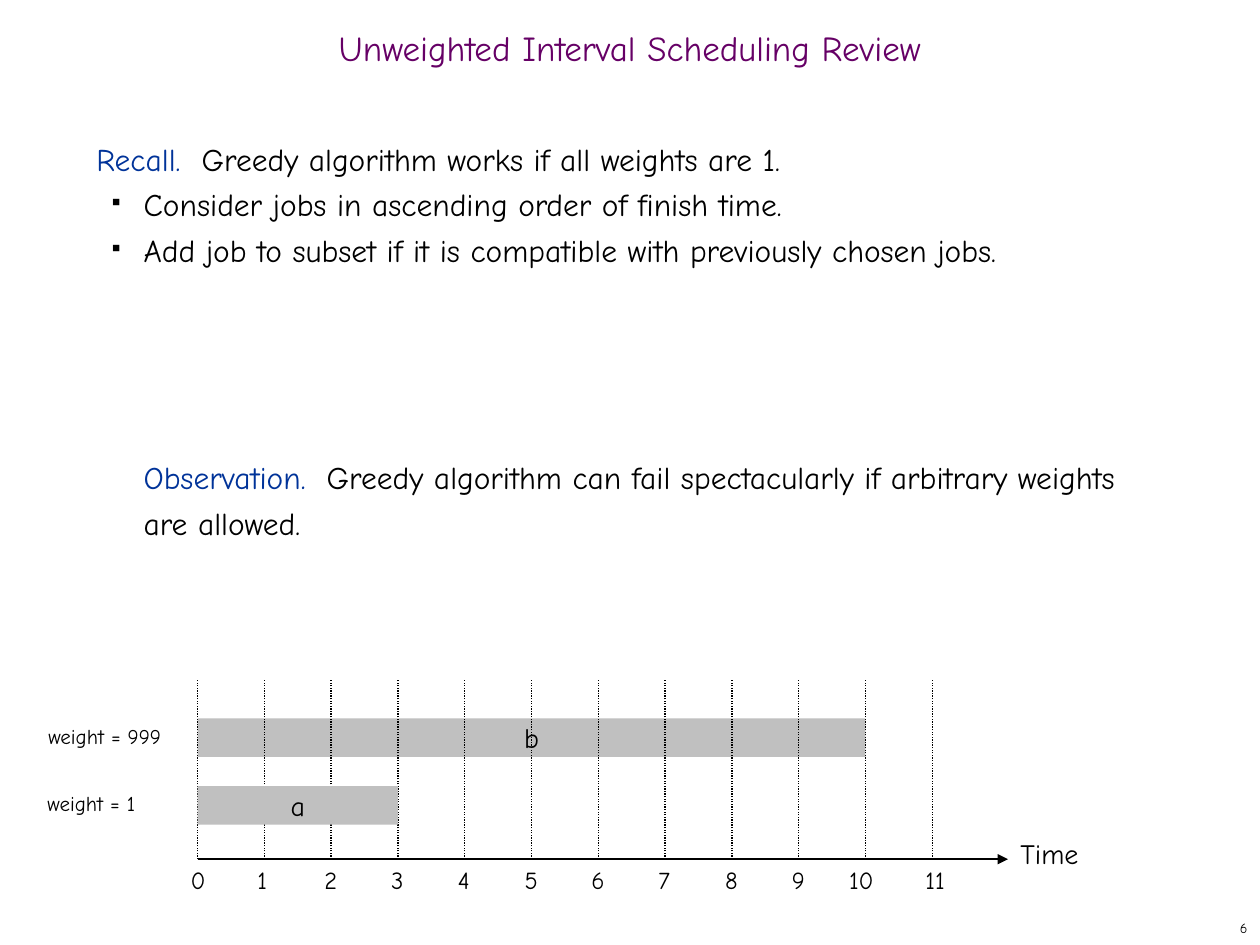
import lxml.etree
import pptx
import pptx.dml.color
import pptx.enum.dml
import pptx.enum.shapes
import pptx.enum.text
import pptx.oxml.ns
import pptx.util

Pt = pptx.util.Pt
ALIGN = pptx.enum.text.PP_ALIGN
ANCHOR = pptx.enum.text.MSO_ANCHOR
COLORS = {"ink": "000000", "title": "660066", "term": "003399", "job": "C0C0C0"}


def add_element(parent, tag, **attributes):
    return lxml.etree.SubElement(parent, pptx.oxml.ns.qn(tag), attributes)


class SlideBuilder:
    font_name = "Comic Neue"

    def __init__(self, presentation):
        self.slide = presentation.slides.add_slide(presentation.slide_layouts[5])

    def color(self, name):
        return pptx.dml.color.RGBColor.from_string(COLORS[name])

    def add_words(self, paragraph, words, size, color="ink"):
        run = paragraph.add_run()
        run.text = words
        run.font.name = self.font_name
        run.font.size = Pt(size)
        run.font.color.rgb = self.color(color)

    def title(self, words, left, top, width, height):
        heading = self.slide.shapes.title
        heading.left, heading.top = Pt(left), Pt(top)
        heading.width, heading.height = Pt(width), Pt(height)
        frame = heading.text_frame
        frame.auto_size = pptx.enum.text.MSO_AUTO_SIZE.NONE
        frame.vertical_anchor = ANCHOR.MIDDLE
        paragraph = frame.paragraphs[0]
        paragraph.alignment = ALIGN.CENTER
        paragraph.line_spacing = 0.7
        self.add_words(paragraph, words, 20, "title")

    def text_frame(self, left, top, width, height):
        frame = self.slide.shapes.add_textbox(
            Pt(left), Pt(top), Pt(width), Pt(height)).text_frame
        frame.word_wrap = True
        return frame

    def label(self, words, left, top, width, height, size, align=ALIGN.LEFT):
        frame = self.text_frame(left, top, width, height)
        frame.paragraphs[0].alignment = align
        self.add_words(frame.paragraphs[0], words, size)

    def statement(self, paragraph, term, words, indent=0, space_before=0):
        paragraph.line_spacing = Pt(26)
        if indent:
            paragraph._p.get_or_add_pPr().set("marL", str(Pt(indent)))
        if space_before:
            paragraph.space_before = Pt(space_before)
        self.add_words(paragraph, term, 18, "term")
        self.add_words(paragraph, words, 18)

    def bullet(self, paragraph, words):
        paragraph.line_spacing = Pt(26)
        properties = paragraph._p.get_or_add_pPr()
        properties.set("marL", str(Pt(27)))
        properties.set("indent", str(Pt(-18)))
        bullet_color = add_element(properties, "a:buClr")
        add_element(bullet_color, "a:srgbClr", val=COLORS["ink"])
        add_element(properties, "a:buSzPct", val="35000")
        add_element(properties, "a:buChar", char="■")
        self.add_words(paragraph, words, 18)

    def job(self, name, left, top, width, height):
        bar = self.slide.shapes.add_shape(
            pptx.enum.shapes.MSO_SHAPE.RECTANGLE,
            Pt(left), Pt(top), Pt(width), Pt(height))
        bar.shadow.inherit = False
        bar.fill.solid()
        bar.fill.fore_color.rgb = self.color("job")
        bar.line.fill.background()
        frame = bar.text_frame
        frame.word_wrap = False
        frame.vertical_anchor = ANCHOR.MIDDLE
        frame.paragraphs[0].alignment = ALIGN.CENTER
        self.add_words(frame.paragraphs[0], name, 16)

    def line(self, x1, y1, x2, y2, width, dotted=False, arrow=False):
        connector = self.slide.shapes.add_connector(
            pptx.enum.shapes.MSO_CONNECTOR.STRAIGHT, Pt(x1), Pt(y1), Pt(x2), Pt(y2))
        connector.line.color.rgb = self.color("ink")
        connector.line.width = Pt(width)
        if dotted:
            connector.line.dash_style = pptx.enum.dml.MSO_LINE.ROUND_DOT
        properties = connector._element.spPr
        if arrow:
            outline = properties.find(pptx.oxml.ns.qn("a:ln"))
            add_element(outline, "a:tailEnd", type="triangle")
        add_element(properties, "a:effectLst")


def main():
    presentation = pptx.Presentation()
    presentation.slide_width, presentation.slide_height = Pt(720), Pt(540)
    page = SlideBuilder(presentation)

    page.label("6", 570, 522, 150, 18, 8, ALIGN.RIGHT)
    page.title("Unweighted Interval Scheduling Review", 0, 12, 720, 36)

    body = page.text_frame(48, 72, 618, 426)
    page.statement(body.paragraphs[0], "Recall.  ",
                   "Greedy algorithm works if all weights are 1.")
    for step in (
        "Consider jobs in ascending order of finish time.",
        "Add job to subset if it is compatible with previously chosen jobs.",
    ):
        page.bullet(body.add_paragraph(), step)
    page.statement(
        body.add_paragraph(), "Observation.  ",
        "Greedy algorithm can fail spectacularly if arbitrary weights are allowed.",
        indent=27, space_before=104)

    origin, hour_width, axis_y = 112.9, 38.17, 491
    page.line(origin, axis_y, 576, axis_y, 1.25, arrow=True)
    page.label("Time", 576, 474.5, 60, 26.6, 16)

    page.job("b", origin, 410.5, 10 * hour_width, 22)
    for hour in range(12):
        tick_x = origin + hour * hour_width
        label_offset = 16.5 if hour == 10 else 11
        page.line(tick_x, axis_y, tick_x, 388, 0.75, dotted=True)
        page.label(str(hour), tick_x - label_offset, axis_y, 33, 24, 14)
    page.job("a", origin, 449.3, 3 * hour_width, 22)

    page.label("weight = 999", 20.5, 409.7, 84, 21.6, 12)
    page.label("weight = 1", 20, 448, 70, 21.6, 12)

    presentation.save("out.pptx")


if __name__ == "__main__":
    main()
